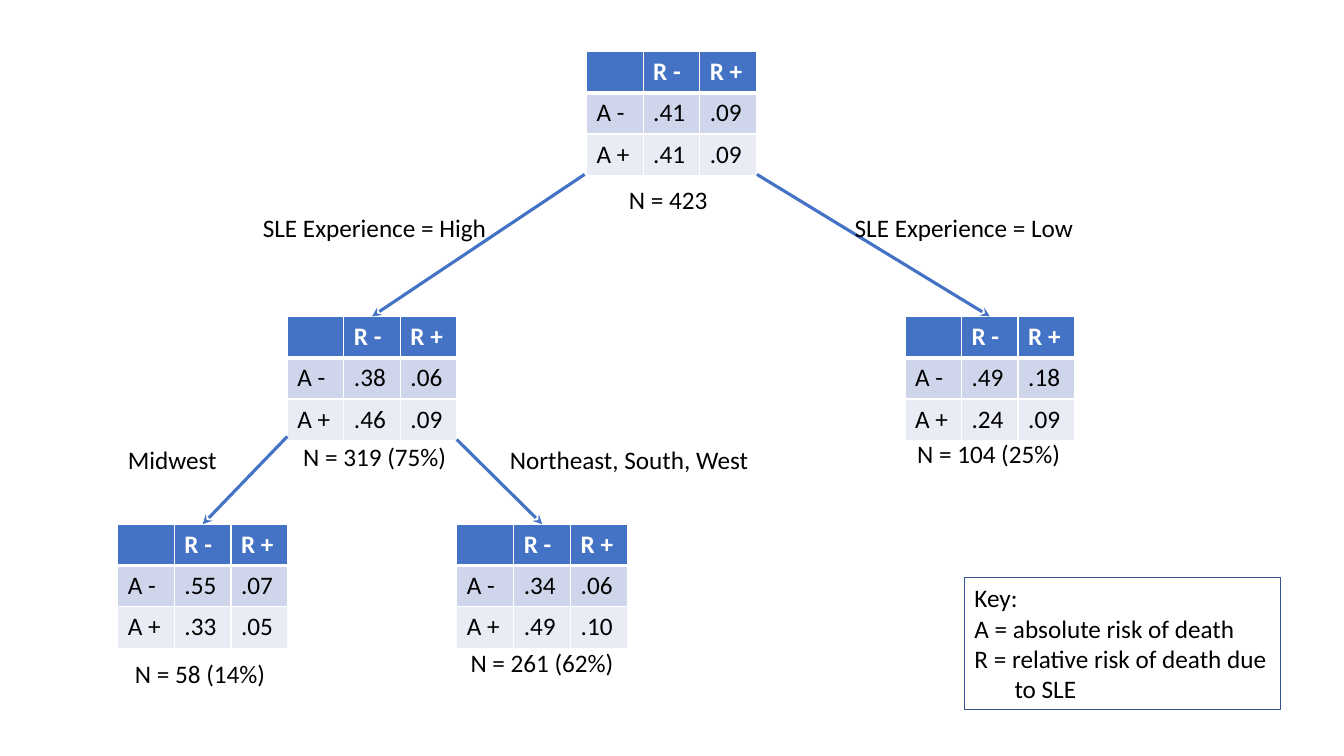
from lxml.etree import SubElement
from pptx import Presentation
from pptx.dml.color import RGBColor
from pptx.enum.shapes import MSO_CONNECTOR as Connector, MSO_SHAPE as Shape
from pptx.enum.text import MSO_ANCHOR as Anchor, MSO_AUTO_SIZE as AutoSize, PP_ALIGN as Align
from pptx.oxml import parse_xml
from pptx.oxml.ns import nsdecls, qn
from pptx.util import Pt

BLUE, DARK_BLUE, WHITE, BLACK = "4472C4", "325491", "FFFFFF", "000000"
ROW_FILLS = (BLUE, "CFD5EA", "E9EBF5")
ROW_HEIGHT = 29.52
LABEL_HEIGHT = 29

# name: left, top, width, risks for A -, risks for A +
NODES = {
    "all": (419, 36.7, 121.2, (".41", ".09"), (".41", ".09")),
    "low": (646.4, 226, 121.2, (".49", ".18"), (".24", ".09")),
    "high": (205.2, 226, 121.2, (".38", ".06"), (".46", ".09")),
    "midwest": (84.2, 374.4, 121.2, (".55", ".07"), (".33", ".05")),
    "elsewhere": (326.2, 374.4, 122.2, (".34", ".06"), (".49", ".10")),
}
# start x, start y, node the arrow points at
BRANCHES = [
    (417.6, 124.6, "high"),
    (540.7, 124.6, "low"),
    (205.2, 311.8, "midwest"),
    (326.2, 313.9, "elsewhere"),
]
# text, left, top, width
LABELS = [
    ("SLE Experience = Low", 603.4, 148.3, 172.8),
    ("SLE Experience = High", 180.7, 148.3, 175.7),
    ("Midwest", 84.2, 313.9, 78.5),
    ("Northeast, South, West", 357.1, 313.9, 186.5),
    ("N = 423", 442.1, 128.2, 71.3),
    ("N = 319 (75%)", 209.5, 311.8, 118),
    ("N = 58 (14%)", 89.3, 466.6, 108.7),
    ("N = 261 (62%)", 329, 458.6, 118),
    ("N = 104 (25%)", 648, 309.6, 118),
]
KEY_BOX = (689, 412.6, 226, 94.3)
# line, indent
KEY_LINES = [
    ("Key:", 0),
    ("A = absolute risk of death", 0),
    ("R = relative risk of death due", 0),
    ("to SLE", 28.6),
]


def color(value):
    """Turn a hex string into a colour."""
    return RGBColor.from_string(value)


def points(*values):
    """Turn numbers into lengths in points."""
    return [Pt(value) for value in values]


def write(paragraph, text, ink=BLACK, bold=False):
    """Put one left-aligned run of text in a paragraph."""
    paragraph.alignment = Align.LEFT
    run = paragraph.add_run()
    run.text = text
    for name, value in {"name": "Calibri", "size": Pt(18), "bold": bold}.items():
        setattr(run.font, name, value)
    run.font.color.rgb = color(ink)


def fit(frame):
    """Let the shape grow with its unwrapped text."""
    for name, value in {"word_wrap": False, "auto_size": AutoSize.SHAPE_TO_FIT_TEXT}.items():
        setattr(frame, name, value)


def add_borders(cell, row):
    """Draw white cell borders, thick between header and body."""
    thick = {(0, "lnB"), (1, "lnT")}
    for place, side in enumerate(("lnL", "lnR", "lnT", "lnB")):
        width = Pt(3 if (row, side) in thick else 1)
        border = parse_xml(
            f'<a:{side} {nsdecls("a")} w="{width}"><a:solidFill>'
            f'<a:srgbClr val="{WHITE}"/></a:solidFill></a:{side}>')
        cell._tc.get_or_add_tcPr().insert(place, border)


def add_node(slide, left, top, width, minus, plus):
    """Add one table of risks."""
    rows = [("", "R -", "R +"), ("A -", *minus), ("A +", *plus)]
    table = slide.shapes.add_table(3, 3, *points(left, top, width, 3 * ROW_HEIGHT)).table
    for column in table.columns:
        column.width = Pt(width / 3)
    for row, texts in enumerate(rows):
        table.rows[row].height = Pt(ROW_HEIGHT)
        for column, text in enumerate(texts):
            cell = table.cell(row, column)
            cell.fill.solid()
            cell.fill.fore_color.rgb = color(ROW_FILLS[row])
            add_borders(cell, row)
            if text:
                header = row == 0
                write(cell.text_frame.paragraphs[0], text, WHITE if header else BLACK, header)


def add_branch(slide, start_x, start_y, target):
    """Draw an arrow to the top centre of a node."""
    left, top, width = NODES[target][:3]
    arrow = slide.shapes.add_connector(
        Connector.STRAIGHT, *points(start_x, start_y, left + width / 2, top))
    arrow.line.color.rgb = color(BLUE)
    arrow.line.width = Pt(2.25)
    SubElement(arrow.line._get_or_add_ln(), qn("a:tailEnd"), type="stealth")
    SubElement(arrow._element.spPr, qn("a:effectLst"))


def add_label(slide, text, left, top, width):
    """Add one line of free text."""
    frame = slide.shapes.add_textbox(*points(left, top, width, LABEL_HEIGHT)).text_frame
    fit(frame)
    write(frame.paragraphs[0], text)


def add_key(slide):
    """Add the outlined box that explains the letters."""
    shape = slide.shapes.add_shape(Shape.RECTANGLE, *points(*KEY_BOX))
    shape.shadow.inherit = False
    shape.fill.background()
    shape.line.color.rgb = color(DARK_BLUE)
    shape.line.width = Pt(0.75)
    frame = shape.text_frame
    fit(frame)
    frame.vertical_anchor = Anchor.TOP
    for number, (text, indent) in enumerate(KEY_LINES):
        paragraph = frame.add_paragraph() if number else frame.paragraphs[0]
        write(paragraph, text)
        paragraph._p.get_or_add_pPr().set("marL", str(Pt(indent)))


presentation = Presentation()
presentation.slide_width, presentation.slide_height = points(960, 540)
slide = presentation.slides.add_slide(presentation.slide_layouts[6])
for node in NODES.values():
    add_node(slide, *node)
for branch in BRANCHES:
    add_branch(slide, *branch)
for label in LABELS:
    add_label(slide, *label)
add_key(slide)
presentation.save("out.pptx")
